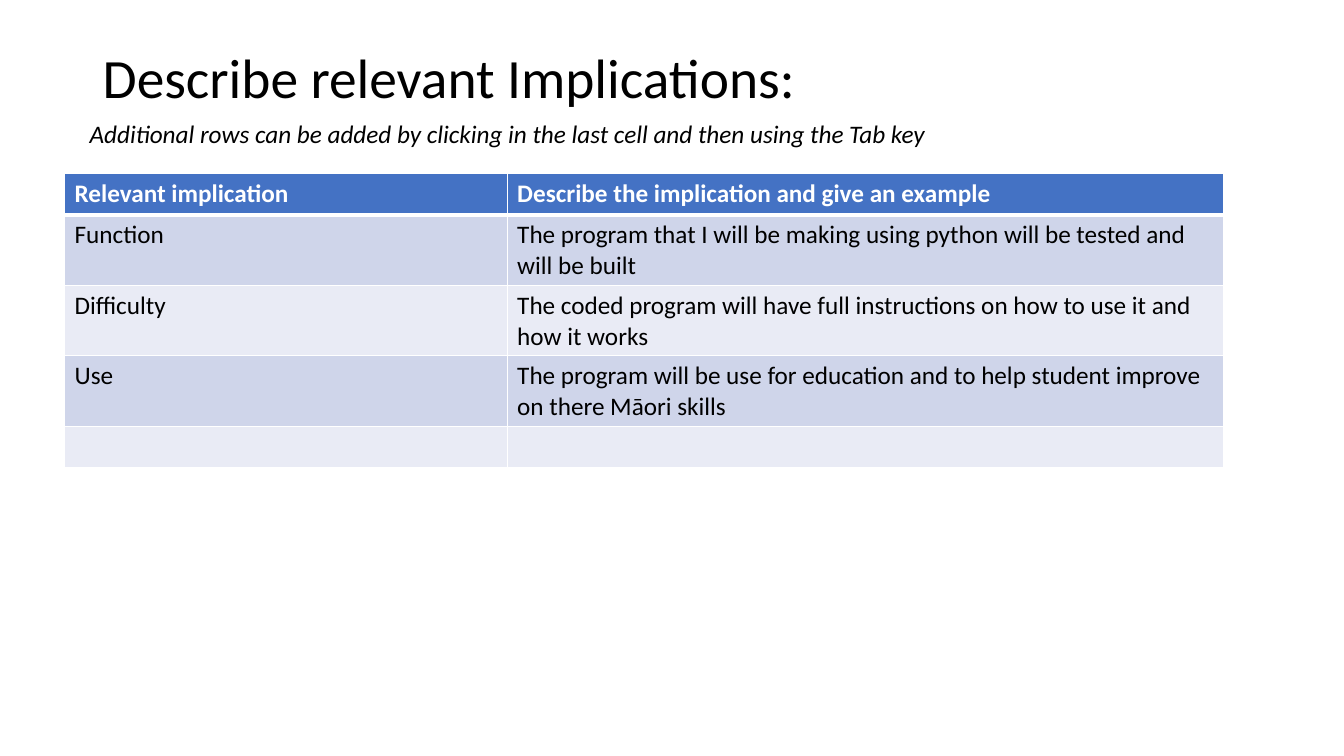
from lxml import etree
from pptx import Presentation
from pptx.dml.color import RGBColor
from pptx.enum.text import MSO_ANCHOR as Anchor
from pptx.oxml.ns import qn
from pptx.util import Emu, Pt

PX = 9144  # 100 px to the inch
BLACK = RGBColor(0x00, 0x00, 0x00)
WHITE = RGBColor(0xFF, 0xFF, 0xFF)
HEADER_BLUE = RGBColor(0x44, 0x72, 0xC4)
BANDS = [RGBColor(0xCF, 0xD5, 0xEA), RGBColor(0xE9, 0xEB, 0xF5)]

ROWS = [
    ("Relevant implication", "Describe the implication and give an example"),
    ("Function", "The program that I will be making using python will be tested and will be built"),
    ("Difficulty", "The coded program will have full instructions on how to use it and how it works"),
    ("Use", "The program will be use for education and to help student improve on there Māori skills"),
    ("", ""),
]
COLUMN_WIDTHS = [439, 711]
ROW_HEIGHTS = [41, 70, 70, 70, 41]


def write(frame, text, size, color=BLACK, **style):
    """Put one formatted run in the frame and return its paragraph."""
    paragraph = frame.paragraphs[0]
    run = paragraph.add_run()
    run.text = text
    run.font.color.rgb = color
    for key, value in dict(name="Calibri", size=Pt(size), **style).items():
        setattr(run.font, key, value)
    return paragraph


def add_borders(cell, widths):
    """Draw white cell edges; widths are points by edge tag."""
    properties = cell._tc.get_or_add_tcPr()
    for place, (tag, points) in enumerate(widths.items()):
        line = etree.Element(qn(f"a:{tag}"), w=str(Pt(points)))
        fill = etree.SubElement(line, qn("a:solidFill"))
        etree.SubElement(fill, qn("a:srgbClr"), val=str(WHITE))
        properties.insert(place, line)


prs = Presentation()
prs.slide_width, prs.slide_height = Emu(1333 * PX), Emu(750 * PX)
slide = prs.slides.add_slide(prs.slide_layouts[6])

title = slide.shapes.add_textbox(*(Emu(n * PX) for n in (92, 40, 1150, 61))).text_frame
title.word_wrap = True
title.vertical_anchor = Anchor.MIDDLE
write(title, "Describe relevant Implications:", 39.6).line_spacing = 1.15

hint = slide.shapes.add_textbox(*(Emu(n * PX) for n in (79, 112, 1094, 40))).text_frame
hint.word_wrap = True
write(hint, "Additional rows can be added by clicking in the last cell and then using the Tab key",
      18, italic=True)

table_box = (64, 172, sum(COLUMN_WIDTHS), sum(ROW_HEIGHTS))
implications = slide.shapes.add_table(
    len(ROWS), len(COLUMN_WIDTHS), *(Emu(n * PX) for n in table_box)).table
for column, width in zip(implications.columns, COLUMN_WIDTHS):
    column.width = Emu(width * PX)

for r, (texts, height) in enumerate(zip(ROWS, ROW_HEIGHTS)):
    implications.rows[r].height = Emu(height * PX)
    is_header = r == 0
    for c, text in enumerate(texts):
        cell = implications.cell(r, c)
        cell.fill.solid()
        cell.fill.fore_color.rgb = HEADER_BLUE if is_header else BANDS[(r - 1) % 2]
        add_borders(cell, {"lnL": 1, "lnR": 1, "lnT": 3 if r == 1 else 1,
                           "lnB": 3 if is_header else 1})
        if text:
            write(cell.text_frame, text, 18, WHITE if is_header else BLACK, bold=is_header)

prs.save("out.pptx")
